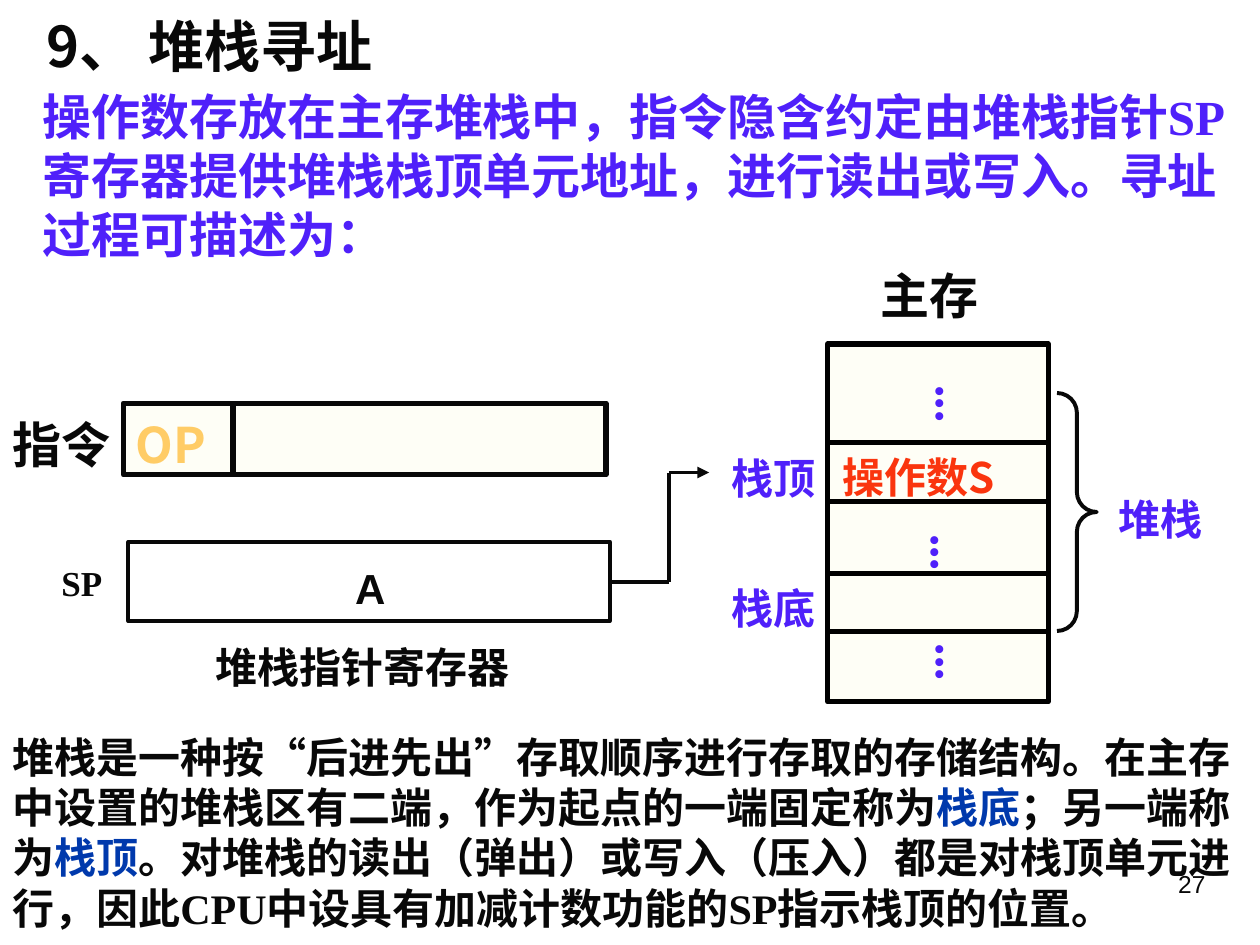
from lxml import etree
from pptx import Presentation
from pptx.dml.color import RGBColor
from pptx.enum import shapes, text
from pptx.oxml.ns import qn
from pptx.util import Pt

BLACK = RGBColor(0, 0, 0)
INK = RGBColor(0x08, 0x08, 0x08)
VIOLET = RGBColor(0x4F, 0x20, 0xFA)
NAVY = RGBColor(0x00, 0x39, 0xAC)
RED = RGBColor(0xFA, 0x35, 0x0E)
GOLD = RGBColor(0xFF, 0xCC, 0x66)
CREAM = RGBColor(0xFE, 0xFE, 0xF6)
WHITE = RGBColor(0xFF, 0xFF, 0xFF)
SANS, SERIF, ARIAL = "Noto Sans CJK SC", "Times New Roman", "Arial"


def points(*values):
    """Turn numbers into point lengths."""
    return [Pt(value) for value in values]


def write(shape, spans, size, font, bold=True, align=text.PP_ALIGN.LEFT, vertical=False):
    """Fill a shape with one paragraph made of (wording, colour) spans."""
    frame = shape.text_frame
    frame.word_wrap = True
    frame.auto_size = text.MSO_AUTO_SIZE.NONE
    frame.vertical_anchor = text.MSO_ANCHOR.TOP
    side, top = (3.6, 7.2) if vertical else (7.2, 3.6 + size / 10)
    frame.margin_left = frame.margin_right = Pt(side)
    frame.margin_top = frame.margin_bottom = Pt(top)
    if vertical:
        frame._txBody.bodyPr.set("vert", "eaVert")
    para = frame.paragraphs[0]
    para.alignment = align
    para.line_spacing = Pt(size * 1.2)
    for wording, colour in spans:
        span = para.add_run()
        span.text = wording
        span.font.size = Pt(size)
        span.font.bold = bold
        span.font.name = font
        span.font.color.rgb = colour
        east = etree.SubElement(span._r.get_or_add_rPr(), qn("a:ea"))
        east.set("typeface", SANS)


def label(page, box, wording, size, font, colour=INK, **options):
    """Add a text box holding a single span."""
    shape = page.shapes.add_textbox(*points(*box))
    write(shape, [(wording, colour)], size, font, **options)


def block(page, box, fill, line, weight):
    """Add an outlined rectangle."""
    shape = page.shapes.add_shape(shapes.MSO_SHAPE.RECTANGLE, *points(*box))
    shape.shadow.inherit = False
    shape.fill.solid()
    shape.fill.fore_color.rgb = fill
    shape.line.color.rgb = line
    shape.line.width = Pt(weight)
    return shape


def rule(page, start, end, colour, weight, arrow=False):
    """Add a straight line, with an arrowhead at its end if asked."""
    line = page.shapes.add_connector(
        shapes.MSO_CONNECTOR.STRAIGHT, *points(*start, *end))
    line.line.color.rgb = colour
    line.line.width = Pt(weight)
    if arrow:
        tail = etree.SubElement(line.line._get_or_add_ln(), qn("a:tailEnd"))
        tail.set("type", "triangle")
    etree.SubElement(line._element.spPr, qn("a:effectLst"))


def heading(page, left, top, width):
    """Place the title and the introduction below it."""
    title = page.shapes.title
    title.left, title.top, title.width, title.height = points(left + 2, top, 266, 46)
    write(title, [("9、 堆栈寻址", INK)], 32, SANS)
    label(page, (left, top + 43.2, width, 108),
          "操作数存放在主存堆栈中，指令隐含约定由堆栈指针SP寄存器提供堆栈栈顶单元地址，"
          "进行读出或写入。寻址过程可描述为：", 28, SERIF, VIOLET)


def instruction(page, left, top, width, height):
    """Draw the instruction word with its operation code field."""
    label(page, (left - 70.5, top, 82, height), "指令", 28, SERIF)
    word = block(page, (left, top, width, height), CREAM, INK, 3)
    write(word, [("OP", GOLD)], 28, SANS)
    rule(page, (left + 62.6, top), (left + 62.6, top + height), INK, 3)


def pointer(page, left, top, width, height):
    """Draw the stack pointer register and its arrow to the stack top."""
    label(page, (left - 45.4, top + 5.8, 57, 32), "SP", 20, SERIF)
    block(page, (left, top, width, height), WHITE, INK, 2.25)
    label(page, (left + 122.4, top + 5.8, 57, 36), "A", 24, ARIAL)
    label(page, (left + 42.5, top + 51.1, 210, 36), "堆栈指针寄存器", 24, ARIAL)
    right, middle, target = left + width, top + 23, top - 39.6
    bend = right + 33.8
    rule(page, (right, middle), (bend, middle), INK, 2.25)
    rule(page, (bend, middle), (bend, target), INK, 2.25)
    rule(page, (bend, target), (bend + 23, target), INK, 2.25, arrow=True)


def memory(page, left, top, width, height):
    """Draw main memory, its cells, and the brace marking the stack."""
    label(page, (left + 23, top - 51.1, 102, 41), "主存", 28, ARIAL)
    block(page, (left, top, width, height), CREAM, BLACK, 3)
    for offset in (56.2, 90, 131, 164.2):
        rule(page, (left, top + offset), (left + width, top + offset), BLACK, 3)
    for across, down in ((46, 16.6), (43.2, 101.5), (46, 164.2)):
        label(page, (left + across, top + down, 47.5, 41.8), "...", 28, SERIF,
              VIOLET, vertical=True)
    label(page, (left + 1.4, top + 55.5, 125, 36), "操作数S", 24, SANS, RED)
    for wording, across, down in (("栈顶", -62, 56.2), ("栈底", -62, 130.3),
                                  ("堆栈", 159.1, 79.2)):
        label(page, (left + across, top + down, 68.4, 36), wording, 24, SANS, VIOLET)
    brace = page.shapes.add_shape(
        shapes.MSO_SHAPE.RIGHT_BRACE, *points(left + 131, top + 28, 22.7, 136))
    brace.shadow.inherit = False
    brace.adjustments[0] = 0.5
    brace.fill.background()
    brace.line.color.rgb = INK
    brace.line.width = Pt(2.25)


def summary(page, left, top, width, height):
    """Place the closing explanation and the page number."""
    shape = page.shapes.add_textbox(*points(left, top, width, height))
    write(shape, [
        ("堆栈是一种按“后进先出”存取顺序进行存取的存储结构。在主存中设置的堆栈区有二端，"
         "作为起点的一端固定称为", INK),
        ("栈底", NAVY),
        ("；另一端称为", INK),
        ("栈顶", NAVY),
        ("。对堆栈的读出（弹出）或写入（压入）都是对栈顶单元进行，"
         "因此CPU中设具有加减计数功能的SP指示栈顶的位置。", INK),
    ], 24, SERIF)
    label(page, (left + 516, top + 80, 180, 37), "27", 14, ARIAL,
          bold=False, align=text.PP_ALIGN.RIGHT)


def main():
    """Build the slide and save it."""
    deck = Presentation()
    deck.slide_width, deck.slide_height = points(720, 540)
    page = deck.slides.add_slide(deck.slide_layouts[5])
    heading(page, 17.3, 0, 702.7)
    instruction(page, 70.5, 230.4, 275.8, 41)
    pointer(page, 73.4, 309.6, 275, 45.4)
    memory(page, 473, 196.6, 126, 204.5)
    summary(page, 0, 411.8, 720, 122.4)
    deck.save("out.pptx")


if __name__ == "__main__":
    main()
